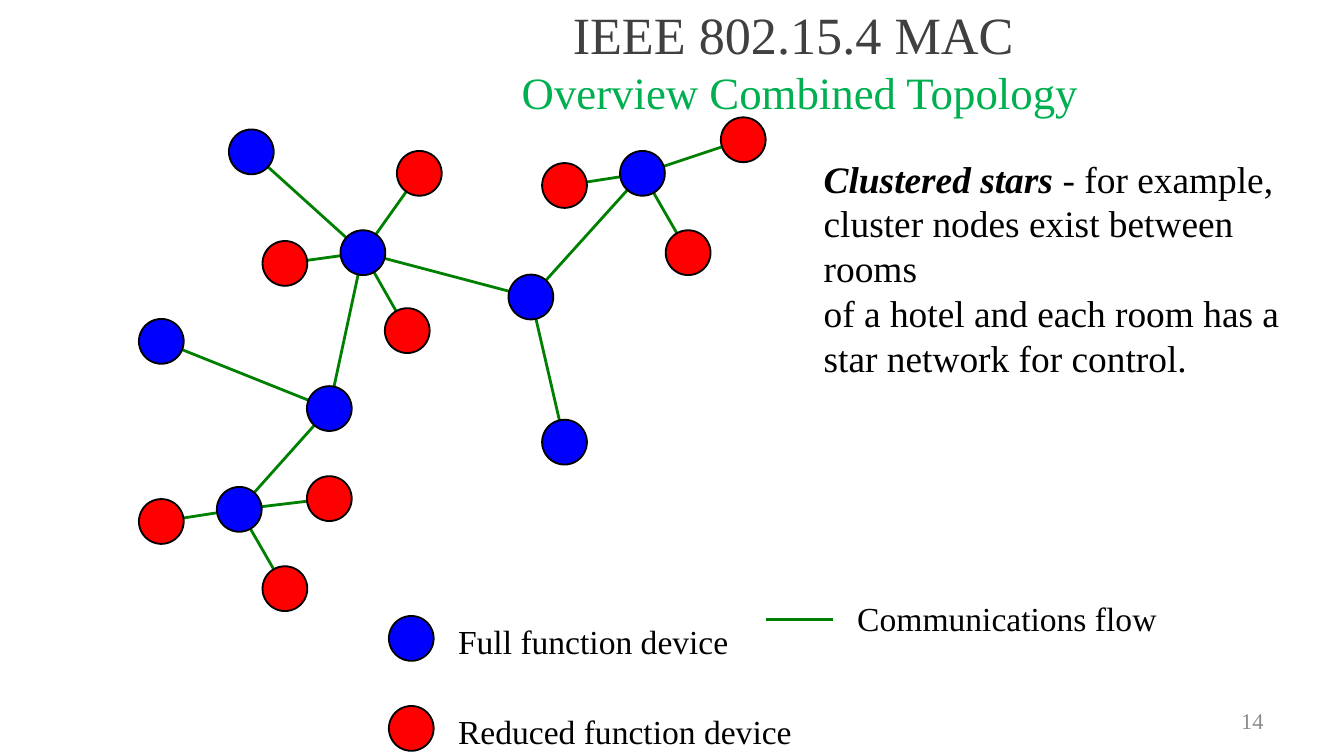
from dataclasses import dataclass

from lxml import etree
from pptx import Presentation
from pptx.dml.color import RGBColor
from pptx.enum.shapes import MSO_CONNECTOR, MSO_SHAPE
from pptx.enum.text import MSO_ANCHOR, PP_ALIGN
from pptx.oxml.ns import qn
from pptx.util import Inches, Pt

STRAIGHT = MSO_CONNECTOR.STRAIGHT
OVAL = MSO_SHAPE.OVAL
TOP, MIDDLE = MSO_ANCHOR.TOP, MSO_ANCHOR.MIDDLE
LEFT, CENTER, RIGHT = PP_ALIGN.LEFT, PP_ALIGN.CENTER, PP_ALIGN.RIGHT


@dataclass(frozen=True)
class Theme:
    font: str = "Times New Roman"
    title: str = "404040"
    subtitle: str = "00B050"
    text: str = "000000"
    number: str = "8C8C8C"
    full: str = "0000FF"
    reduced: str = "FF0000"
    outline: str = "000000"
    flow: str = "008000"
    title_size: int = 28
    subtitle_size: int = 24
    body_size: int = 20
    legend_size: int = 18
    number_size: int = 12
    outline_width: float = 1
    flow_width: float = 1.5


THEME = Theme()
SLIDE_WIDTH = 10
SLIDE_HEIGHT = SLIDE_WIDTH * 9 / 16
DEVICE_SIZE = 1 / 3

# Device centres in inches
FULL_DEVICES = {
    "upper hub": (2.7, 1.88),
    "upper leaf": (1.87, 1.13),
    "middle hub": (2.45, 3.04),
    "middle leaf": (1.2, 2.54),
    "lower hub": (1.78, 3.79),
    "bridge": (3.95, 2.21),
    "bridge leaf": (4.2, 3.29),
    "right hub": (4.78, 1.29),
}
BACKBONE = [
    ("upper hub", "upper leaf"),
    ("upper hub", "middle hub"),
    ("upper hub", "bridge"),
    ("middle hub", "middle leaf"),
    ("middle hub", "lower hub"),
    ("bridge", "bridge leaf"),
    ("bridge", "right hub"),
]
# Reduced function devices around each star's hub
STARS = {
    "upper hub": [(3.03, 2.46), (3.12, 1.29), (2.12, 1.96)],
    "right hub": [(5.12, 1.88), (5.53, 1.04), (4.2, 1.38)],
    "lower hub": [(2.12, 4.38), (2.45, 3.71), (1.2, 3.88)],
}


def add_flow(slide, start, end):
    flow = slide.shapes.add_connector(STRAIGHT, *map(Inches, (*start, *end)))
    flow.line.color.rgb = RGBColor.from_string(THEME.flow)
    flow.line.width = Pt(THEME.flow_width)
    etree.SubElement(flow._element.spPr, qn("a:effectLst"))


def add_device(slide, center, color):
    x, y = center
    device = slide.shapes.add_shape(
        OVAL, Inches(x - DEVICE_SIZE / 2), Inches(y - DEVICE_SIZE / 2),
        Inches(DEVICE_SIZE), Inches(DEVICE_SIZE))
    device.shadow.inherit = False
    device.fill.solid()
    device.fill.fore_color.rgb = RGBColor.from_string(color)
    device.line.color.rgb = RGBColor.from_string(THEME.outline)
    device.line.width = Pt(THEME.outline_width)


def style_run(run, size, color):
    run.font.name = THEME.font
    run.font.size = Pt(size)
    run.font.color.rgb = RGBColor.from_string(color)


def add_text(slide, box, text, size, color, align=LEFT, anchor=TOP, wrap=True):
    frame = slide.shapes.add_textbox(*map(Inches, box)).text_frame
    frame.word_wrap = wrap
    frame.vertical_anchor = anchor
    frame.text = text
    for paragraph in frame.paragraphs:
        paragraph.alignment = align
        for run in paragraph.runs:
            style_run(run, size, color)
    return frame


def add_title(slide):
    frame = add_text(slide, (2.4, -0.02, 7.1, 0.94),
                     "IEEE 802.15.4 MAC \vOverview Combined Topology",
                     THEME.title_size, THEME.title, CENTER, MIDDLE)
    style_run(frame.paragraphs[0].runs[1], THEME.subtitle_size, THEME.subtitle)


def add_network(slide):
    # Links go first so that the devices cover their ends
    for start, end in BACKBONE:
        add_flow(slide, FULL_DEVICES[start], FULL_DEVICES[end])
    for hub, leaves in STARS.items():
        for leaf in leaves:
            add_flow(slide, FULL_DEVICES[hub], leaf)
            add_device(slide, leaf, THEME.reduced)
    for center in FULL_DEVICES.values():
        add_device(slide, center, THEME.full)


def add_legend(slide):
    entries = [
        ("Full function device", 4.75, 2.24, THEME.full),
        ("Reduced function device", 5.42, 2.71, THEME.reduced),
    ]
    for label, y, width, color in entries:
        add_device(slide, (3.06, y), color)
        add_text(slide, (3.31, y - 0.18, width, 0.4), label,
                 THEME.legend_size, THEME.text, wrap=False)
    add_flow(slide, (6.2, 4.61), (5.7, 4.61))
    add_text(slide, (6.28, 4.4, 2.45, 0.4), "Communications flow",
             THEME.legend_size, THEME.text, wrap=False)


def add_explanation(slide):
    frame = add_text(slide, (6.03, 1.11, 4.01, 1.43),
                     "Clustered stars\n"
                     "cluster nodes exist between rooms\n"
                     "of a hotel and each room has a\n"
                     "star network for control.",
                     THEME.body_size, THEME.text)
    frame.margin_right = Inches(0.4)
    lead = frame.paragraphs[0]
    lead.runs[0].font.bold = True
    lead.runs[0].font.italic = True
    example = lead.add_run()
    example.text = " - for example,"
    style_run(example, THEME.body_size, THEME.text)


def main():
    deck = Presentation()
    deck.slide_width = Inches(SLIDE_WIDTH)
    deck.slide_height = Inches(SLIDE_HEIGHT)
    slide = deck.slides.add_slide(deck.slide_layouts[6])
    add_title(slide)
    add_network(slide)
    add_legend(slide)
    add_explanation(slide)
    # Slide number
    add_text(slide, (7.17, 5.21, 2.33, 0.3), "14",
             THEME.number_size, THEME.number, RIGHT, MIDDLE)
    deck.save("out.pptx")


if __name__ == "__main__":
    main()
